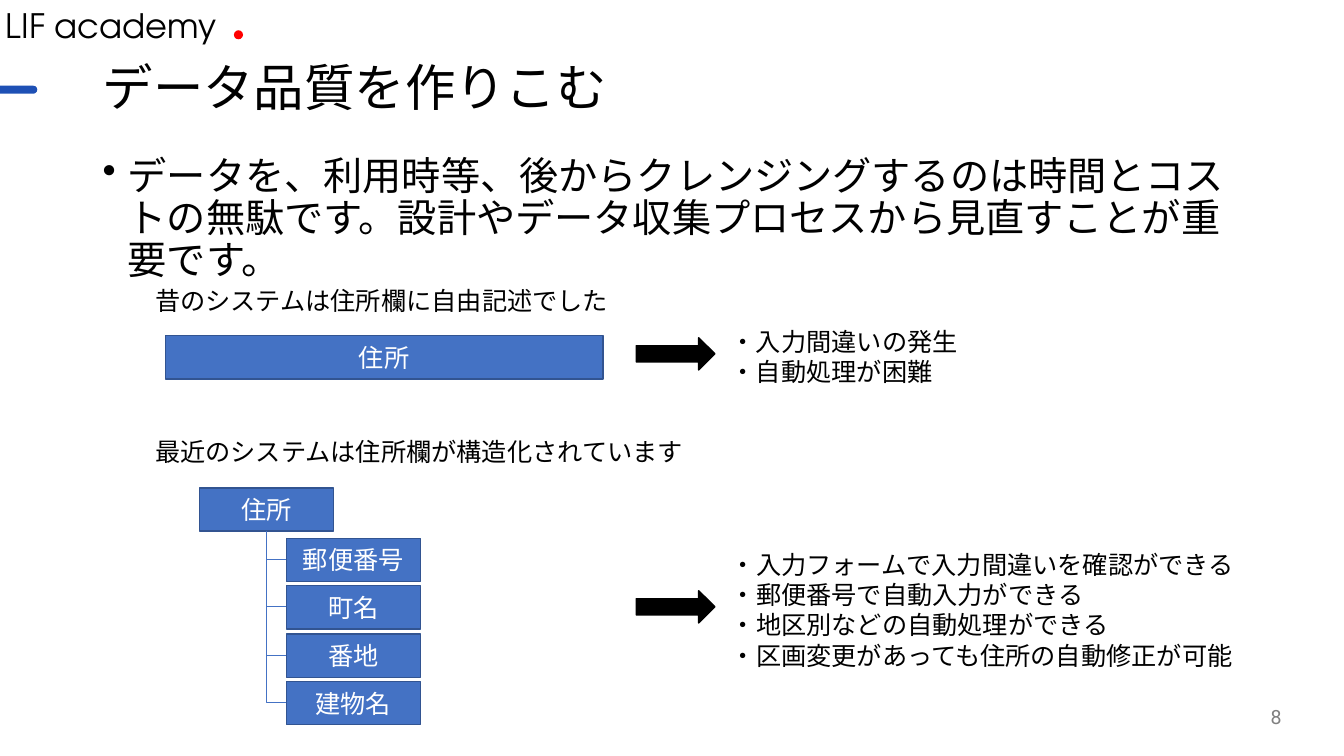
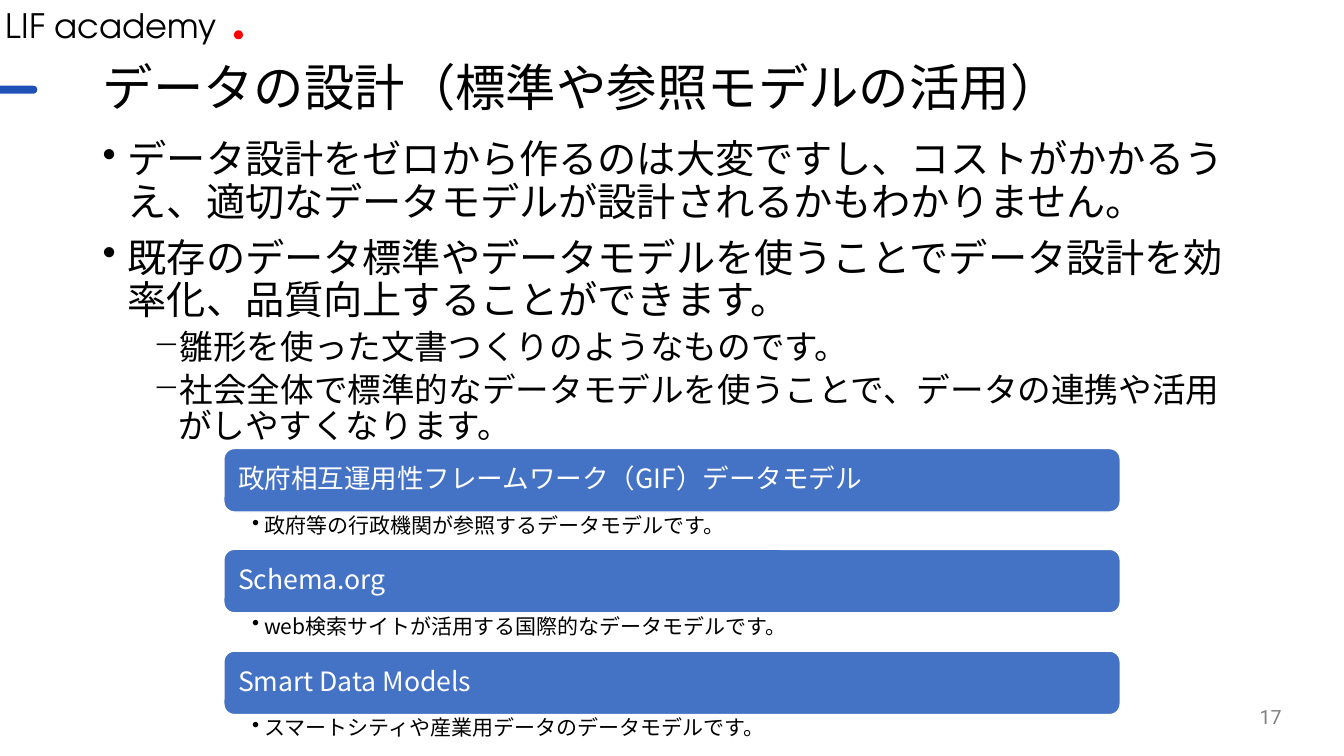
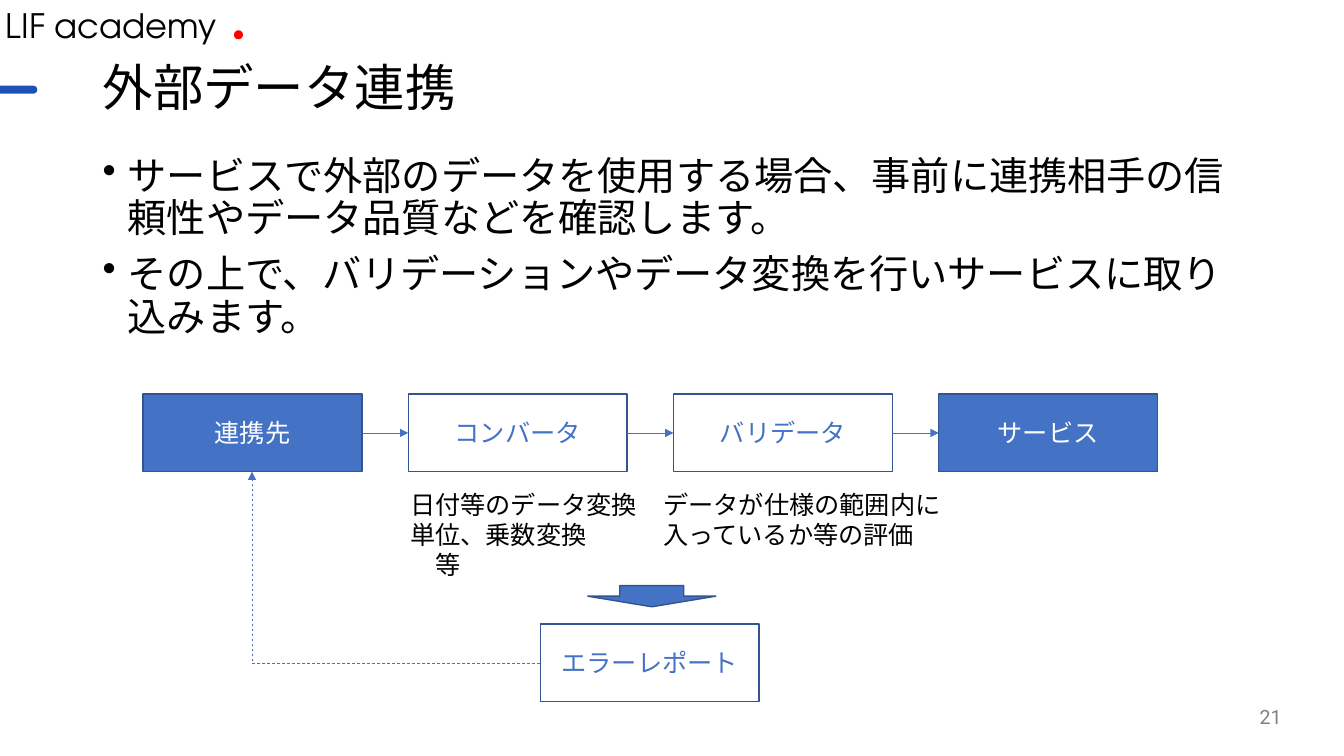
from lxml import etree
from pptx import Presentation
from pptx import util as u
from pptx.dml.color import RGBColor
from pptx.enum import dml, shapes, text
from pptx.oxml.ns import qn

PX = 9144
SANS = "Noto Sans CJK JP"
BLACK, WHITE, RED = "000000", "FFFFFF", "FF0000"
BLUE, OUTLINE, ACCENT, GRAY = "4472C4", "325491", "1E50B5", "808080"
KIND = shapes.MSO_SHAPE
ALIGN = text.PP_ALIGN
MIDDLE = text.MSO_ANCHOR.MIDDLE

STYLES = {
    "brand": {"font": "TeX Gyre Adventor", "size": 24},
    "title": {"font": "Roboto", "size": 36, "paragraph": {"line_spacing": 0.9}},
    "number": {"font": "Roboto", "size": 14, "color": GRAY,
               "paragraph": {"alignment": ALIGN.RIGHT}},
    "label": {"size": 18},
    "box": {"size": 18, "color": WHITE, "paragraph": {"alignment": ALIGN.CENTER}},
    "hollow": {"size": 18, "color": BLUE, "paragraph": {"alignment": ALIGN.CENTER}},
    "band": {"size": 19, "color": WHITE,
             "paragraph": {"alignment": ALIGN.LEFT, "line_spacing": 0.9}},
    "caption": {"size": 15, "bullet": ("•", 12, 12),
                "paragraph": {"line_spacing": 0.9}},
    "point": {"size": 28, "bullet": ("•", 25, 25),
              "paragraph": {"line_spacing": 0.9, "space_before": u.Pt(10)}},
    "subpoint": {"size": 24, "bullet": ("−", 75, 25),
                 "paragraph": {"level": 1, "line_spacing": 0.9,
                               "space_before": u.Pt(5)}},
}


def px(*lengths):
    return [u.Emu(length * PX) for length in lengths]


def rgb(value):
    return RGBColor.from_string(value)


def apply(target, values):
    for name, value in values.items():
        setattr(target, name, value)


class Deck:
    def __init__(self):
        self.presentation = Presentation()
        apply(self.presentation, {"slide_width": u.Emu(1333 * PX),
                                  "slide_height": u.Emu(750 * PX)})
        self.slide = None

    def new_slide(self, title, number):
        layout = self.presentation.slide_layouts[6]
        self.slide = self.presentation.slides.add_slide(layout)
        self.shape(KIND.OVAL, (232, 30, 9, 9), RED)
        self.label((-4, 0, 245, 50), ["LIF academy"], "brand")
        stripe = self.shape(KIND.ROUNDED_RECTANGLE, (-10, 85, 47, 8), ACCENT)
        stripe.adjustments[0] = 0.5
        self.label((92, 57, 1150, 65), [title], "title",
                   word_wrap=True, vertical_anchor=MIDDLE)
        self.label((981, 691, 300, 40), [str(number)], "number",
                   word_wrap=True, vertical_anchor=MIDDLE)

    def fill_text(self, frame, lines, style):
        for index, line in enumerate(lines):
            words, name = line if isinstance(line, tuple) else (line, style)
            look = STYLES[name]
            paragraph = frame.paragraphs[0] if index == 0 else frame.add_paragraph()
            apply(paragraph, look.get("paragraph", {}))
            if "bullet" in look:
                self.bullet(paragraph, *look["bullet"])
            run = paragraph.add_run()
            run.text = words
            run.font.color.rgb = rgb(look.get("color", BLACK))
            apply(run.font, {"size": u.Pt(look["size"]),
                             "name": look.get("font", SANS)})
            properties = run.font._element
            properties.set("lang", "ja-JP")
            etree.SubElement(properties, qn("a:ea")).set("typeface", SANS)

    def bullet(self, paragraph, mark, margin, hanging):
        properties = paragraph._p.get_or_add_pPr()
        properties.set("marL", str(margin * PX))
        properties.set("indent", str(-hanging * PX))
        etree.SubElement(properties, qn("a:buChar")).set("char", mark)

    def label(self, place, lines, style="label", **frame_values):
        frame = self.slide.shapes.add_textbox(*px(*place)).text_frame
        apply(frame, {"word_wrap": False, **frame_values})
        self.fill_text(frame, lines, style)

    def body(self, place, lines):
        self.label(place, lines, "point", word_wrap=True)

    def shape(self, kind, place, fill=None, line=None):
        shape = self.slide.shapes.add_shape(kind, *px(*place))
        shape.shadow.inherit = False
        if fill:
            shape.fill.solid()
            shape.fill.fore_color.rgb = rgb(fill)
        else:
            shape.fill.background()
        if line:
            shape.line.color.rgb = rgb(line)
            shape.line.width = u.Pt(1)
        else:
            shape.line.fill.background()
        return shape

    def box(self, place, words, filled=True):
        shape = self.shape(KIND.RECTANGLE, place, BLUE if filled else None, OUTLINE)
        shape.text_frame.vertical_anchor = MIDDLE
        self.fill_text(shape.text_frame, [words], "box" if filled else "hollow")
        return shape

    def band(self, place, words):
        shape = self.shape(KIND.ROUNDED_RECTANGLE, place, BLUE, WHITE)
        inset = u.Emu(11 * PX)
        apply(shape.text_frame, {"vertical_anchor": MIDDLE,
                                 "margin_left": inset, "margin_right": inset})
        self.fill_text(shape.text_frame, [words], "band")

    def connector(self, start, end, bent=False, arrow=False, dashed=False):
        kind = shapes.MSO_CONNECTOR.ELBOW if bent else shapes.MSO_CONNECTOR.STRAIGHT
        connector = self.slide.shapes.add_connector(kind, *px(*start, *end))
        properties = connector._element.spPr
        if bent:
            properties.find(qn("a:prstGeom")).set("prst", "bentConnector2")
        connector.line.color.rgb = rgb(BLUE)
        connector.line.width = u.Pt(0.5)
        if dashed:
            connector.line.dash_style = dml.MSO_LINE.DASH
        if arrow:
            line = properties.find(qn("a:ln"))
            etree.SubElement(line, qn("a:tailEnd")).set("type", "triangle")
        etree.SubElement(properties, qn("a:effectLst"))
        return connector

    def link(self, left_box, right_box):
        connector = self.connector((0, 0), (1, 0), arrow=True)
        connector.begin_connect(left_box, 3)
        connector.end_connect(right_box, 1)


def quality_slide(deck):
    deck.new_slide("データ品質を作りこむ", 8)
    deck.body((92, 150, 1150, 527), [
        "データを、利用時等、後からクレンジングするのは時間とコストの無駄です。"
        "設計やデータ収集プロセスから見直すことが重要です。"])
    deck.label((144, 278, 475, 40), ["昔のシステムは住所欄に自由記述でした"])
    deck.box((164, 333, 434, 43), "住所")
    deck.label((144, 428, 550, 40), ["最近のシステムは住所欄が構造化されています"])
    deck.box((198, 484, 133, 43), "住所")
    for index, field in enumerate(["郵便番号", "町名", "番地", "建物名"]):
        top = 534 + 95 * index // 2
        deck.connector((284, top + 21), (264, 527), bent=True)
        deck.box((284, top, 133, 43), field)
    for top in (335, 586):
        deck.shape(KIND.RIGHT_ARROW, (631, top, 78, 32), BLACK, BLACK)
    deck.label((715, 319, 247, 71), ["・入力間違いの発生", "・自動処理が困難"])
    deck.label((715, 540, 525, 131), [
        "・入力フォームで入力間違いを確認ができる",
        "・郵便番号で自動入力ができる",
        "・地区別などの自動処理ができる",
        "・区画変更があっても住所の自動修正が可能"])


def design_slide(deck):
    deck.new_slide("データの設計（標準や参照モデルの活用）", 17)
    deck.body((92, 134, 1150, 248), [
        "データ設計をゼロから作るのは大変ですし、コストがかかるうえ、"
        "適切なデータモデルが設計されるかもわかりません。",
        "既存のデータ標準やデータモデルを使うことでデータ設計を効率化、"
        "品質向上することができます。",
        ("雛形を使った文書つくりのようなものです。", "subpoint"),
        ("社会全体で標準的なデータモデルを使うことで、"
         "データの連携や活用がしやすくなります。", "subpoint")])
    models = [
        ("政府相互運用性フレームワーク（GIF）データモデル",
         "政府等の行政機関が参照するデータモデルです。"),
        ("Schema.org", "web検索サイトが活用する国際的なデータモデルです。"),
        ("Smart Data Models", "スマートシティや産業用データのデータモデルです。"),
    ]
    for index, (model, caption) in enumerate(models):
        top = 445 + 201 * index // 2
        deck.band((222, top, 889, 63), model)
        deck.label((222, top + 63, 889, 38), [caption], "caption", word_wrap=True,
                   margin_left=u.Emu(28 * PX), margin_top=u.Emu(3 * PX))


def exchange_slide(deck):
    deck.new_slide("外部データ連携", 21)
    deck.body((92, 150, 1150, 225), [
        "サービスで外部のデータを使用する場合、"
        "事前に連携相手の信頼性やデータ品質などを確認します。",
        "その上で、バリデーションやデータ変換を行いサービスに取り込みます。"])
    steps = [("連携先", True), ("コンバータ", False),
             ("バリデータ", False), ("サービス", True)]
    boxes = [deck.box((142 + 263 * index, 391, 217, 77), words, filled)
             for index, (words, filled) in enumerate(steps)]
    for left_box, right_box in zip(boxes, boxes[1:]):
        deck.link(left_box, right_box)
    deck.label((397, 480, 247, 101), ["日付等のデータ変換", "単位、乗数変換", "　等"])
    deck.label((648, 480, 298, 71),
               ["データが仕様の範囲内に入っているか等の評価"], word_wrap=True)
    deck.shape(KIND.DOWN_ARROW, (583, 581, 127, 21), BLUE, OUTLINE)
    deck.box((536, 619, 217, 77), "エラーレポート", filled=False)
    deck.connector((536, 658), (250, 468), bent=True, arrow=True, dashed=True)


def main():
    deck = Deck()
    for build in (quality_slide, design_slide, exchange_slide):
        build(deck)
    deck.presentation.save("out.pptx")


if __name__ == "__main__":
    main()
